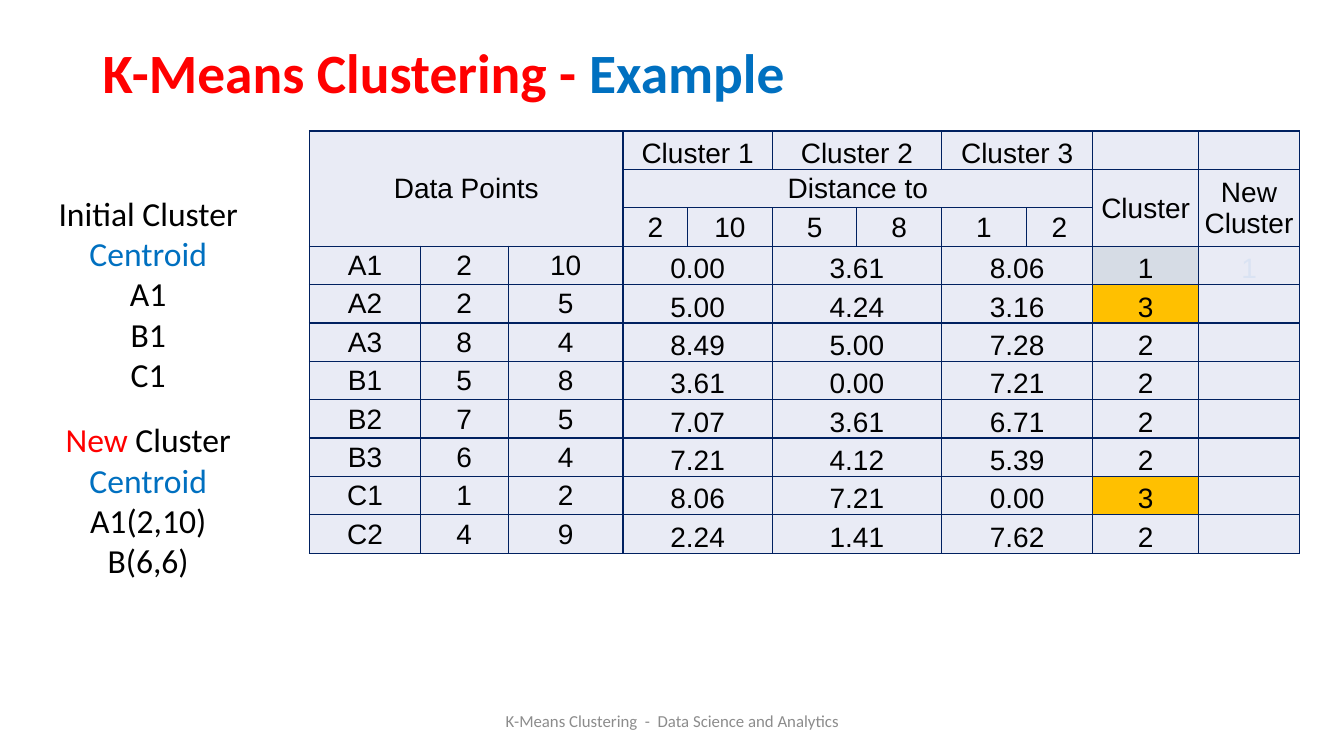
import dataclasses

import lxml.etree
import pptx
import pptx.dml.color
import pptx.enum.text
import pptx.oxml.ns
import pptx.util

Inches = pptx.util.Inches
Pt = pptx.util.Pt
ANCHOR = pptx.enum.text.MSO_ANCHOR
ALIGN = pptx.enum.text.PP_ALIGN


@dataclasses.dataclass(frozen=True)
class Theme:
    heading_font: str = "Calibri"
    table_font: str = "Arial"
    title_size: float = 39.6
    list_size: float = 24
    table_size: float = 20
    footer_size: float = 12
    black: str = "000000"
    red: str = "FF0000"
    blue: str = "0070C0"
    gray: str = "8C8C8C"
    border: str = "002060"
    cell: str = "E9EBF5"
    first: str = "D6DCE5"
    highlight: str = "FFC000"
    pale: str = "DAE3F3"


THEME = Theme()
COLUMNS = [1.1, 0.87, 1.14, 0.64, 0.84, 0.84, 0.84, 0.84, 0.66, 1.05, 1]
ROW_COUNT = 11
ROW_HEIGHT = 4.19 / ROW_COUNT
CENTROIDS = ["2", "10", "5", "8", "1", "2"]
POINTS = [
    ("A1", "2", "10", "0.00", "3.61", "8.06", "1"),
    ("A2", "2", "5", "5.00", "4.24", "3.16", "3"),
    ("A3", "8", "4", "8.49", "5.00", "7.28", "2"),
    ("B1", "5", "8", "3.61", "0.00", "7.21", "2"),
    ("B2", "7", "5", "7.07", "3.61", "6.71", "2"),
    ("B3", "6", "4", "7.21", "4.12", "5.39", "2"),
    ("C1", "1", "2", "8.06", "7.21", "0.00", "3"),
    ("C2", "4", "9", "2.24", "1.41", "7.62", "2"),
]
CLUSTER_FILLS = {"1": THEME.first, "2": THEME.cell, "3": THEME.highlight}


def rgb(color):
    return pptx.dml.color.RGBColor.from_string(color)


def add_run(p, text, size, color, font, bold=False):
    r = p.add_run()
    r.text = text
    r.font.size = Pt(size)
    r.font.name = font
    r.font.bold = bold
    r.font.color.rgb = rgb(color)


def add_text(slide, box, paragraphs, size, align=ALIGN.CENTER, anchor=ANCHOR.TOP,
             bold=False, spacing=None):
    sp = slide.shapes.add_textbox(*map(Inches, box))
    tf = sp.text_frame
    tf.word_wrap = True
    tf.vertical_anchor = anchor
    for i, runs in enumerate(paragraphs):
        p = tf.add_paragraph() if i else tf.paragraphs[0]
        p.alignment = align
        if spacing:
            p.line_spacing = spacing
        for text, color in runs:
            add_run(p, text, size, color, THEME.heading_font, bold)


def style_cell(cell):
    cell.margin_left = cell.margin_right = cell.margin_top = Inches(0.01)
    cell.margin_bottom = 0
    tc_pr = cell._tc.get_or_add_tcPr()
    qn = pptx.oxml.ns.qn
    for side in ("a:lnL", "a:lnR", "a:lnT", "a:lnB"):
        ln = lxml.etree.SubElement(tc_pr, qn(side), w=str(Pt(1)))
        fill = lxml.etree.SubElement(ln, qn("a:solidFill"))
        lxml.etree.SubElement(fill, qn("a:srgbClr"), val=THEME.border)
    cell.fill.solid()
    cell.fill.fore_color.rgb = rgb(THEME.cell)


def put(table, row, col, text, rows=1, cols=1, anchor=ANCHOR.MIDDLE,
        fill=THEME.cell, color=THEME.black):
    cell = table.cell(row, col)
    if rows > 1 or cols > 1:
        cell.merge(table.cell(row + rows - 1, col + cols - 1))
    cell.vertical_anchor = anchor
    cell.fill.fore_color.rgb = rgb(fill)
    p = cell.text_frame.paragraphs[0]
    p.alignment = ALIGN.CENTER
    add_run(p, text, THEME.table_size, color, THEME.table_font)


def fill_header(table):
    put(table, 0, 0, "Data Points", rows=3, cols=3)
    for i in range(3):
        put(table, 0, 3 + 2 * i, f"Cluster {i + 1}", cols=2, anchor=ANCHOR.BOTTOM)
    put(table, 1, 3, "Distance to", cols=6)
    put(table, 1, 9, "Cluster", rows=2)
    put(table, 1, 10, "New Cluster", rows=2)
    for col, value in enumerate(CENTROIDS, 3):
        put(table, 2, col, value)


def fill_points(table):
    for row, (*point, d1, d2, d3, cluster) in enumerate(POINTS, 3):
        for col, value in enumerate(point):
            put(table, row, col, value)
        for i, distance in enumerate((d1, d2, d3)):
            put(table, row, 3 + 2 * i, distance, cols=2, anchor=ANCHOR.BOTTOM)
        put(table, row, 9, cluster, anchor=ANCHOR.BOTTOM, fill=CLUSTER_FILLS[cluster])
    put(table, 3, 10, "1", anchor=ANCHOR.BOTTOM, color=THEME.pale)


def add_distance_table(slide):
    frame = slide.shapes.add_table(
        ROW_COUNT, len(COLUMNS), Inches(3.07), Inches(1.3),
        Inches(sum(COLUMNS)), Inches(ROW_HEIGHT * ROW_COUNT))
    table = frame.table
    table.first_row = False
    table.horz_banding = False
    for column, width in zip(table.columns, COLUMNS):
        column.width = Inches(width)
    for row in table.rows:
        row.height = Inches(ROW_HEIGHT)
    for cell in table.iter_cells():
        style_cell(cell)
    fill_header(table)
    fill_points(table)


def main():
    prs = pptx.Presentation()
    prs.slide_width = Inches(13.33)
    prs.slide_height = Inches(7.5)
    s = prs.slides.add_slide(prs.slide_layouts[6])
    t = THEME

    add_text(s, (0.92, 0.4, 11.5, 0.7),
             [[("K-Means Clustering - ", t.red), ("Example", t.blue)]],
             t.title_size, align=ALIGN.LEFT, anchor=ANCHOR.MIDDLE, bold=True, spacing=0.9)
    add_distance_table(s)
    add_text(s, (0.46, 1.86, 2.02, 2.52),
             [[("Initial Cluster ", t.black), ("Centroid", t.blue)],
              [("A1", t.black)], [("B1", t.black)], [("C1", t.black)]],
             t.list_size)
    add_text(s, (0.46, 4.11, 2.02, 2.12),
             [[("New", t.red), (" Cluster ", t.black), ("Centroid", t.blue)],
              [("A1(2,10)", t.black)], [("B(6,6)", t.black)]],
             t.list_size)
    add_text(s, (4.42, 6.95, 4.5, 0.4),
             [[("K-Means Clustering  -  Data Science and Analytics", t.gray)]],
             t.footer_size, anchor=ANCHOR.MIDDLE)
    prs.save("out.pptx")


if __name__ == "__main__":
    main()
